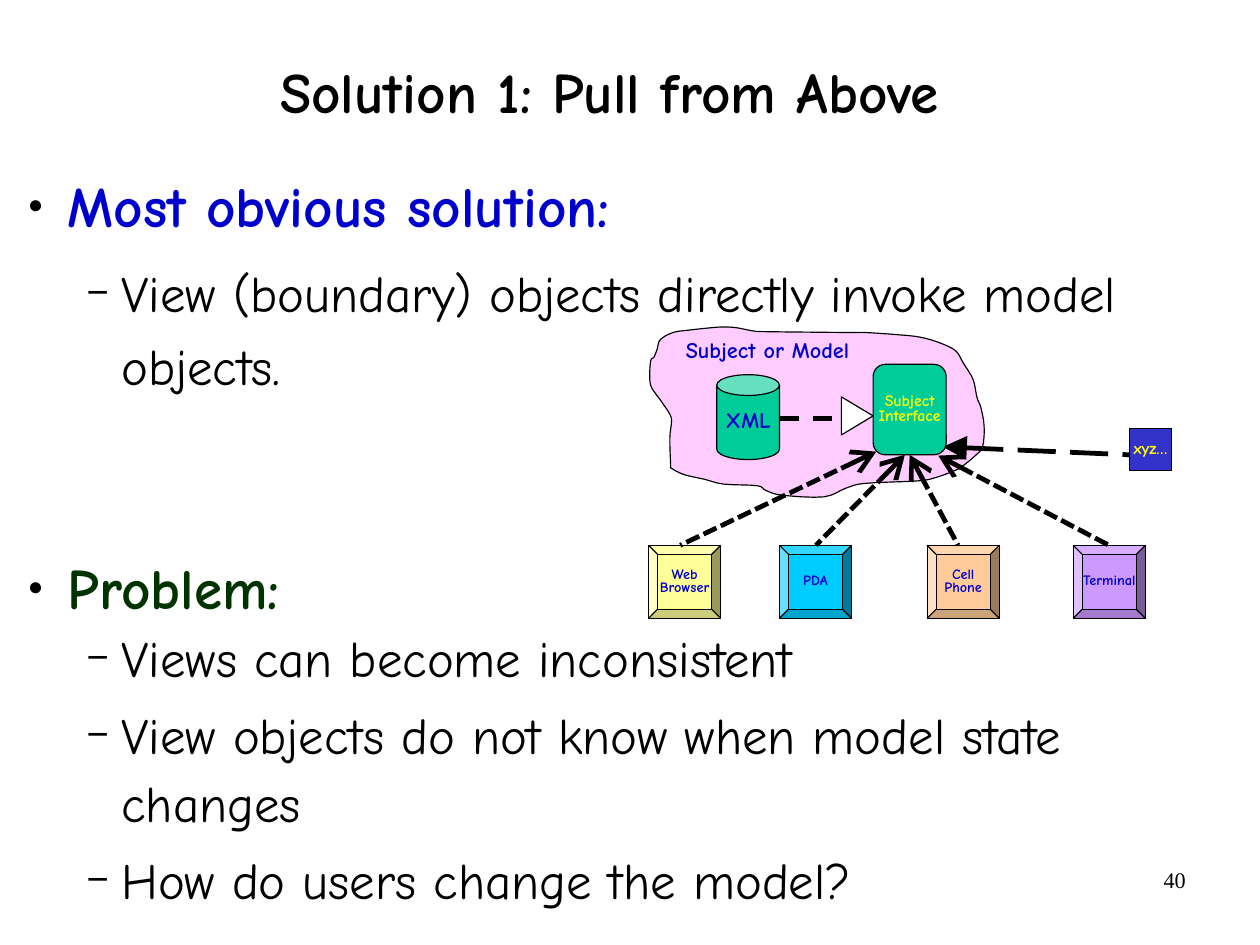
from lxml import etree
from pptx import Presentation
from pptx.enum import dml, shapes, text
from pptx.oxml import ns
from pptx.dml.color import RGBColor
from pptx.util import Pt

# Content
COLORS = dict(black="000000", white="FFFFFF", blue="0000CC", forest="003300",
              pink="FFCCFF", green="00CC99", yellow="FFFF00", indigo="3333CC",
              cream="FFFF99", cyan="00CCFF", peach="FFCC99", violet="CC99FF")
FONT = "Comic Neue"
TITLE = "Solution 1: Pull from Above"
PAGE = "40"

# text, level, colour, line spacing, space before, space after
BODY = [
    ("Most obvious solution:", 0, "blue", 1.2, 0, 0),
    ("View (boundary) objects directly invoke model objects.", 1, "black", 1.2, 7, 36),
    ("Problem:", 0, "forest", 1.1, 58, 0),
    ("Views can become inconsistent", 1, "black", 1.1, 0, 6.5),
    ("View objects do not know when model state changes", 1, "black", 1.1, 0, 6.5),
    ("How do users change the model?", 1, "black", 1.1, 0, 6.5),
]
# size, left margin, indent, bullet, bullet size in percent
LEVELS = [(36, 33, -25, "●", 45), (32, 67, -22, "−", 75)]

# label, fill, left, arrow start, arrow tip (x, y)
VIEWS = [
    ("Web\nBrowser", "cream", 408.5, 428.5, (552, 284.5)),
    ("PDA", "cyan", 491, 514, (570, 286.5)),
    ("Cell\nPhone", "peach", 584, 603.5, (573, 286.5)),
    ("Terminal", "violet", 676, 698.5, (591, 287)),
]
VIEW_TOP, VIEW_W, VIEW_H = 343.5, 45.5, 46

# Outline of the model cloud
CLOUD = [
    (477, 306), (456, 305), (444, 302), (431, 299), (423, 295), (422.5, 293),
    (422, 276), (423, 266), (422, 261), (416, 252), (413, 248), (410, 243),
    (409.3, 236), (410, 227), (412, 225), (414, 220), (416, 214), (424, 209.5),
    (434, 208), (448, 206.5), (456, 206), (464, 206.5), (474.5, 208.5),
    (484, 209), (535, 209.5), (545, 209.5), (567, 211), (580, 212.5),
    (592, 216), (602, 221), (607, 229), (613, 239), (615.5, 250.5), (618, 257),
    (620, 269), (619, 281.5), (615, 286.5), (608.5, 292), (602.5, 296),
    (589, 301), (577.5, 303), (545, 304.5), (533, 307.5), (519, 313),
    (493, 312), (482.5, 309),
]


def rgb(name):
    return RGBColor.from_string(COLORS[name])


def style(p, size, color, bold=True, font=FONT):
    for r in p.runs:
        f = r.font
        f.name, f.size, f.bold = font, Pt(size), bold
        f.color.rgb = rgb(color)


def set_frame(tf, wrap=True, anchor=text.MSO_ANCHOR.TOP, inset=(0, 0)):
    tf.word_wrap = wrap
    tf.auto_size = text.MSO_AUTO_SIZE.NONE
    tf.vertical_anchor = anchor
    tf.margin_left = tf.margin_right = Pt(inset[0])
    tf.margin_top = tf.margin_bottom = Pt(inset[1])


def place(sp, left, top, width, height):
    sp.left, sp.top, sp.width, sp.height = map(Pt, (left, top, width, height))


def paint(sp, fill):
    sp.shadow.inherit = False
    sp.fill.solid()
    sp.fill.fore_color.rgb = rgb(fill)
    sp.line.color.rgb = rgb("black")
    sp.line.width = Pt(0.75)


def add_node(s, kind, box, fill, label="", size=9, color="blue", adj=None):
    sp = s.shapes.add_shape(kind, *map(Pt, box))
    paint(sp, fill)
    if adj is not None:
        sp.adjustments[0] = adj
    if label:
        tf = sp.text_frame
        set_frame(tf, False, text.MSO_ANCHOR.MIDDLE, (8, 4))
        tf.text = label
        for p in tf.paragraphs:
            p.alignment = text.PP_ALIGN.CENTER
            p.line_spacing = 0.8
            style(p, size, color)
    return sp


def add_dashes(s, start, end, dash, head=None):
    line = s.shapes.add_connector(shapes.MSO_CONNECTOR.STRAIGHT, *map(Pt, start + end))
    line.line.color.rgb = rgb("black")
    line.line.width = Pt(3)
    line.line.dash_style = dash
    if head:
        etree.SubElement(line.line._get_or_add_ln(), ns.qn("a:headEnd"),
                         type=head, w="lg", len="lg")
    etree.SubElement(line._element.spPr, ns.qn("a:effectLst"))


def add_bullet(p, margin, indent, char, percent):
    pPr = p._p.get_or_add_pPr()
    pPr.set("marL", str(Pt(margin)))
    pPr.set("indent", str(Pt(indent)))
    clr = etree.SubElement(pPr, ns.qn("a:buClr"))
    etree.SubElement(clr, ns.qn("a:srgbClr"), val=COLORS["black"])
    etree.SubElement(pPr, ns.qn("a:buSzPct"), val=str(percent * 1000))
    etree.SubElement(pPr, ns.qn("a:buChar"), char=char)


def smooth(points, steps=4):
    """Closed Catmull-Rom curve through the points."""
    n = len(points)
    for i in range(n):
        near = [points[(i + k) % n] for k in (-1, 0, 1, 2)]
        for t in (j / steps for j in range(steps)):
            yield tuple(
                Pt(0.5 * (2 * b + (c - a) * t + (2 * a - 5 * b + 4 * c - d) * t**2
                          + (3 * b - a - 3 * c + d) * t**3))
                for a, b, c, d in zip(*near))


def add_textbox(s, box, label, size, color, bold, font, inset):
    tf = s.shapes.add_textbox(*map(Pt, box)).text_frame
    set_frame(tf, inset=inset)
    tf.text = label
    style(tf.paragraphs[0], size, color, bold, font)
    return tf.paragraphs[0]


prs = Presentation()
prs.slide_width, prs.slide_height = Pt(793.7), Pt(595.28)
s = prs.slides.add_slide(prs.slide_layouts[1])

# Title
title = s.shapes.title
place(title, 54, 39.5, 660, 72)
set_frame(title.text_frame)
title.text_frame.text = TITLE
p = title.text_frame.paragraphs[0]
p.alignment = text.PP_ALIGN.CENTER
p.line_spacing = 0.92
style(p, 36, "black")

# Bulleted list
body = s.placeholders[1]
place(body, 9.5, 98.5, 775, 473)
tf = body.text_frame
set_frame(tf)
tf.text = "\n".join(item[0] for item in BODY)
for p, (_, level, color, spacing, before, after) in zip(tf.paragraphs, BODY):
    size, *bullet = LEVELS[level]
    p.level = level
    add_bullet(p, *bullet)
    p.line_spacing = spacing
    p.space_before, p.space_after = Pt(before), Pt(after)
    style(p, size, color, bold=level == 0)

# Model cloud and its store
first, *rest = smooth(CLOUD)
outline = s.shapes.build_freeform(*first, scale=1.0)
outline.add_line_segments(rest, close=True)
paint(outline.convert_to_shape(), "pink")
KIND, DASH = shapes.MSO_SHAPE, dml.MSO_LINE
add_node(s, KIND.CAN, (451.5, 236, 39.5, 53.5), "green", "XML", 14, adj=0.332)

# Views and their arrows to the interface
for label, fill, left, start, tip in VIEWS:
    add_node(s, KIND.BEVEL, (left, VIEW_TOP, VIEW_W, VIEW_H), fill, label, adj=0.125)
    add_dashes(s, tip, (start, VIEW_TOP), DASH.SQUARE_DOT, "arrow")

add_textbox(s, (424, 211, 161, 21.5), "Subject or Model", 14, "blue",
            True, FONT, (8, 4)).line_spacing = 0.8

# Extra view, interface and inheritance arrow
add_node(s, KIND.RECTANGLE, (711.5, 270, 26.5, 26.5), "indigo", "xyz…", 10.5, "yellow")
add_dashes(s, (594, 281.5), (711.5, 286.5), DASH.LONG_DASH, "triangle")
add_node(s, KIND.ROUNDED_RECTANGLE, (550, 229.5, 46, 57), "green",
         "Subject\nInterface", 10, "yellow", 0.167)
add_dashes(s, (491, 263.5), (550, 263.5), DASH.DASH)
add_node(s, KIND.ISOSCELES_TRIANGLE, (528, 252, 24, 20), "white").rotation = 90

# Page number
add_textbox(s, (569, 542, 185, 41), PAGE, 14, "black", False, "Times New Roman",
            (7, 3.5)).alignment = text.PP_ALIGN.RIGHT

prs.save("out.pptx")
